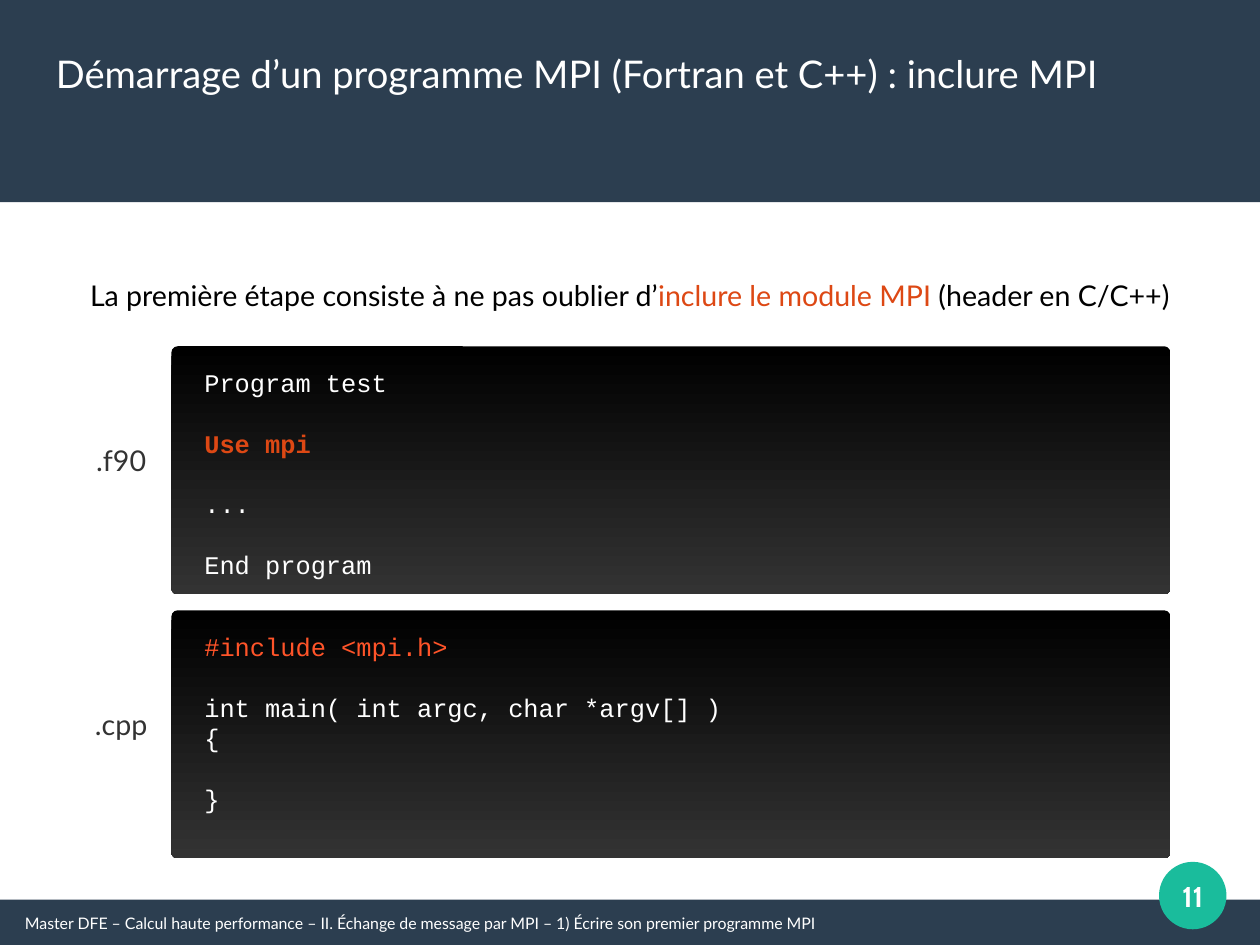
from pptx import Presentation
from pptx.dml.color import RGBColor
from pptx.enum.shapes import MSO_SHAPE
from pptx.enum.text import MSO_ANCHOR, PP_ALIGN
from pptx.util import Cm, Inches, Pt

RECTANGLE, ROUNDED, OVAL = MSO_SHAPE.RECTANGLE, MSO_SHAPE.ROUNDED_RECTANGLE, MSO_SHAPE.OVAL
LEFT, CENTER = PP_ALIGN.LEFT, PP_ALIGN.CENTER
TOP, MIDDLE = MSO_ANCHOR.TOP, MSO_ANCHOR.MIDDLE

NAVY, TEAL, ORANGE, BRIGHT_ORANGE = "2C3E50", "1ABC9C", "DD4814", "FF5429"
WHITE, BLACK, CHARCOAL = "FFFFFF", "000000", "333333"
CODE_LINE = 19.2

presentation = Presentation()
presentation.slide_width, presentation.slide_height = Cm(28), Cm(21)
width_inches = presentation.slide_width.inches
height_inches = presentation.slide_height.inches
slide = presentation.slides.add_slide(presentation.slide_layouts[6])


def add_panel(kind, left, top, width, height, *colors):
    """Add a borderless shape; two colors give a gradient from top to bottom."""
    shape = slide.shapes.add_shape(kind, *map(Inches, (left, top, width, height)))
    shape.shadow.inherit = False
    shape.line.fill.background()
    if len(colors) == 1:
        shape.fill.solid()
        shape.fill.fore_color.rgb = RGBColor.from_string(colors[0])
    else:
        shape.fill.gradient()
        shape.fill.gradient_angle = 270
        for stop, color in zip(shape.fill.gradient_stops, colors):
            stop.color.rgb = RGBColor.from_string(color)
    return shape


def write(lines, left, top, width, height, size=18, font="Lato", bold=False,
          align=LEFT, anchor=TOP, inset=(0.1, 0.05), line_height=None):
    """Add a text box; each line is (blank lines before, [(text, color), ...])."""
    box = slide.shapes.add_textbox(*map(Inches, (left, top, width, height)))
    frame = box.text_frame
    frame.word_wrap = True
    frame.vertical_anchor = anchor
    frame.margin_left = frame.margin_right = Inches(inset[0])
    frame.margin_top = frame.margin_bottom = Inches(inset[1])
    for index, (gap, pieces) in enumerate(lines):
        paragraph = frame.add_paragraph() if index else frame.paragraphs[0]
        paragraph.alignment = align
        if line_height:
            paragraph.line_spacing = Pt(line_height)
        if gap:
            paragraph.space_before = Pt(gap * line_height)
        for text, color in pieces:
            run = paragraph.add_run()
            run.text = text
            run.font.size, run.font.name = Pt(size), font
            run.font.bold = bold or text == "Use mpi"
            run.font.color.rgb = RGBColor.from_string(color)


# Header, footer and page number
footer_top = 7.87
add_panel(RECTANGLE, 0, footer_top, width_inches, height_inches - footer_top, NAVY)
add_panel(RECTANGLE, 0, 0, width_inches, 1.77, NAVY)
add_panel(OVAL, 10.14, 7.54, 0.59, 0.59, TEAL)
write([(0, [("11", WHITE)])], 10.04, 7.44, 0.79, 0.79, font="Cabin", bold=True,
      align=CENTER, anchor=MIDDLE, inset=(0, 0))
write([(0, [("Démarrage d’un programme MPI (Fortran et C++) : inclure MPI", WHITE)])],
      0.39, 0.39, 9.52, 0.55, size=24)
write([(0, [("Master DFE – Calcul haute performance – II. Échange de message par MPI"
             " – 1) Écrire son premier programme MPI", WHITE)])],
      0.12, 7.94, 9.45, 0.29, size=10)

# Introduction
write([(0, [("La première étape consiste à ne pas oublier d’", BLACK),
            ("inclure le module MPI", ORANGE),
            (" (header en C/C++)", BLACK)])],
      0.39, 2.38, 10.24, 0.62, align=CENTER)

# Code listings, one panel per language
listings = [
    (".f90", [(0, [("Program test", WHITE)]),
              (1, [("Use mpi", ORANGE)]),
              (1, [("...", WHITE)]),
              (1, [("End program", WHITE)])]),
    (".cpp", [(0, [("#include <mpi.h>", BRIGHT_ORANGE)]),
              (1, [("int main( int argc, char *argv[] )", WHITE)]),
              (0, [("{", WHITE)]),
              (1, [("}", WHITE)])]),
]
first_top, panel_height, panel_gap = 3.03, 2.17, 0.14
for row, (extension, code) in enumerate(listings):
    top = first_top + row * (panel_height + panel_gap)
    panel = add_panel(ROUNDED, 1.5, top, 8.74, panel_height, BLACK, CHARCOAL)
    panel.adjustments[0] = 0.025
    write(code, 1.69, top + 0.13, 8.46, 2.47, size=16, font="Courier New",
          line_height=CODE_LINE)
    write([(0, [(extension, CHARCOAL)])], 0.55, top + 0.8, 1.02, 0.44, align=CENTER)

presentation.save("out.pptx")
